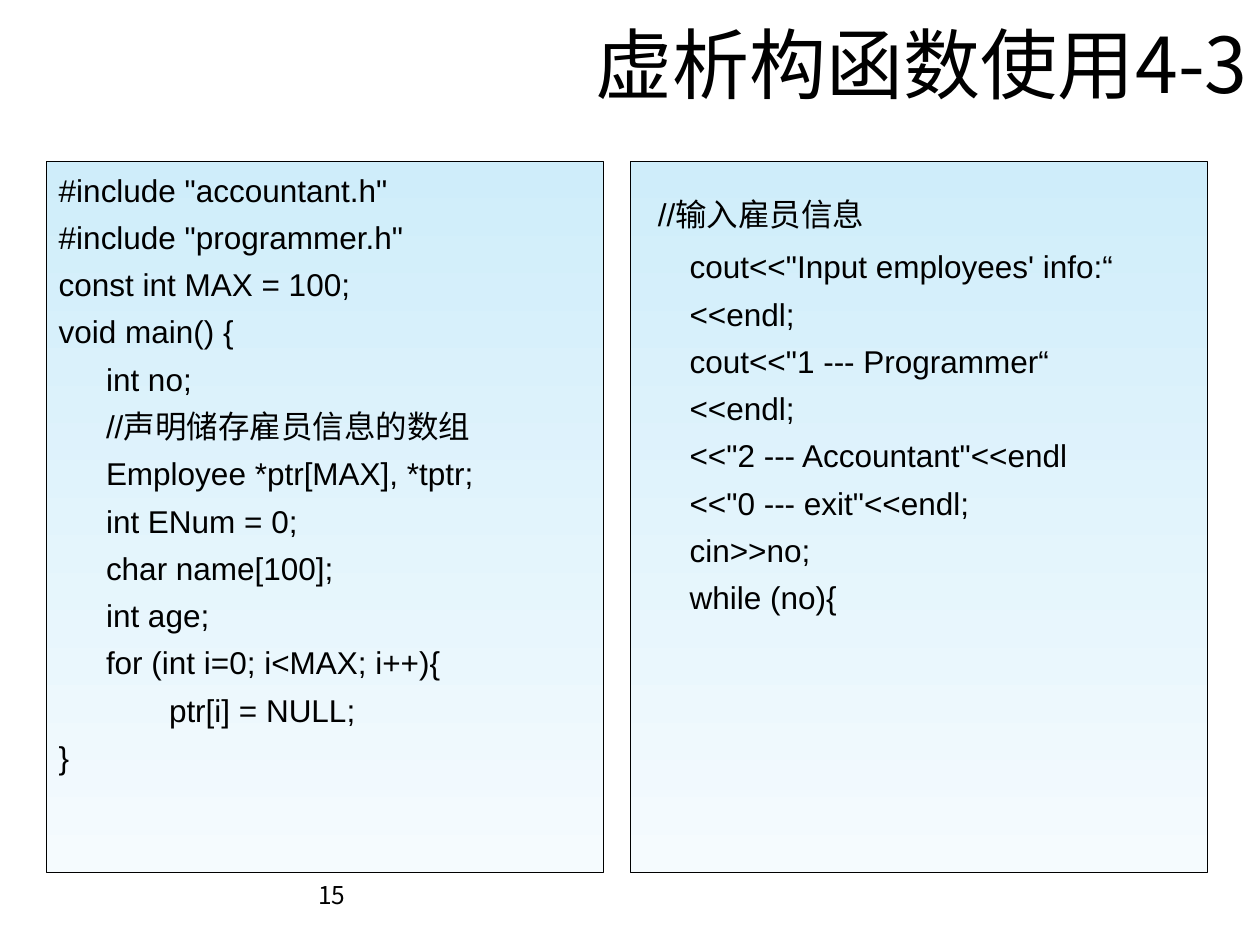
from lxml import etree
from pptx import Presentation
from pptx.dml.color import RGBColor
from pptx.enum.shapes import MSO_SHAPE
from pptx.enum.text import MSO_ANCHOR as ANCHOR, PP_ALIGN as ALIGN
from pptx.oxml.ns import qn
from pptx.util import Pt

CJK = "Noto Sans CJK SC"


def rgb(value):
    return RGBColor.from_string(value)


def add_run(p, text, size, font):
    r = p.add_run()
    r.text = text
    for name, value in {"size": Pt(size), "name": font}.items():
        setattr(r.font, name, value)
    r.font.color.rgb = rgb("000000")
    etree.SubElement(r._r.get_or_add_rPr(), qn("a:ea"), typeface=CJK)


prs = Presentation()
prs.slide_width, prs.slide_height = Pt(720), Pt(540)
s = prs.slides.add_slide(prs.slide_layouts[6])

# Page number and title
labels = [
    ("15", 14, (36, 502.5, 168.5, 17.5), {"margin_top": Pt(0.6), "vertical_anchor": ANCHOR.TOP}),
    ("虚析构函数使用4-3", 44, (72, 0, 648, 71.5), {"vertical_anchor": ANCHOR.MIDDLE}),
]
for text, size, box, fmt in labels:
    tf = s.shapes.add_textbox(*map(Pt, box)).text_frame
    for name, value in {"word_wrap": True, **fmt}.items():
        setattr(tf, name, value)
    p = tf.paragraphs[0]
    p.alignment = ALIGN.RIGHT
    add_run(p, text, size, CJK)

# Code panels: left, width, size of the leading space, code
panels = [
    (26.5, 318.5, None, """#include "accountant.h"
#include "programmer.h"
const int MAX = 100;
void main() {
\tint no;
\t//声明储存雇员信息的数组
\tEmployee *ptr[MAX], *tptr;
\tint ENum = 0;
\tchar name[100];
\tint age;
\tfor (int i=0; i<MAX; i++){
\t\tptr[i] = NULL;
}"""),
    (360, 330, 32, """//输入雇员信息
\tcout<<"Input employees' info:“
\t<<endl;
\tcout<<"1 --- Programmer“
\t<<endl;
\t<<"2 --- Accountant"<<endl
\t<<"0 --- exit"<<endl;
\tcin>>no;
\twhile (no){"""),
]
for left, width, lead_size, code in panels:
    sp = s.shapes.add_shape(MSO_SHAPE.RECTANGLE, Pt(left), Pt(92), Pt(width), Pt(406.5))
    sp.shadow.inherit = False
    sp.fill.gradient()
    sp.fill.gradient_angle = 270
    for stop, color in zip(sp.fill.gradient_stops, ("CFEDFA", "F5FBFE")):
        stop.color.rgb = rgb(color)
    sp.line.color.rgb = rgb("000000")
    sp.line.width = Pt(0.5)

    tf = sp.text_frame
    for name, value in {"word_wrap": True, "vertical_anchor": ANCHOR.TOP,
                        "margin_top": Pt(5.5)}.items():
        setattr(tf, name, value)
    for i, line in enumerate(code.split("\n")):
        p = tf.add_paragraph() if i else tf.paragraphs[0]
        p.alignment = ALIGN.LEFT
        p.space_before = Pt(5.4 if i else 0)
        # Hanging indent and a tab stop at every inch
        pPr = p._p.get_or_add_pPr()
        pPr.set("marL", str(Pt(27)))
        pPr.set("indent", str(Pt(-27)))
        tabs = etree.SubElement(pPr, qn("a:tabLst"))
        for inch in range(8):
            etree.SubElement(tabs, qn("a:tab"), pos=str(Pt(72 * inch)), algn="l")
        if lead_size and i == 0:
            add_run(p, " ", lead_size, "Arial")
        add_run(p, line, 18, "Arial")

prs.save("out.pptx")
